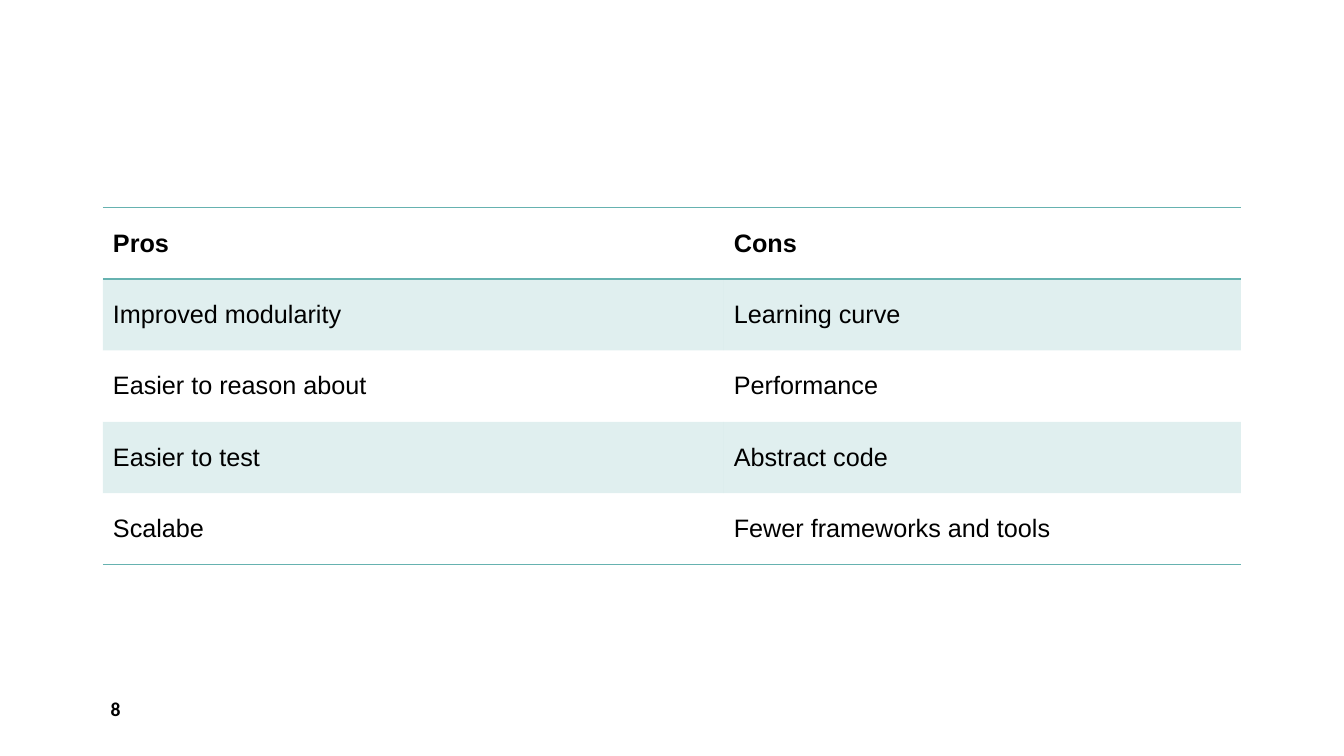
import pptx
import pptx.dml.color
import pptx.enum.text
import pptx.oxml
import pptx.oxml.ns
import pptx.util
from lxml import etree

Pt = pptx.util.Pt

TEAL = "66B2B0"
BLACK = "000000"
BAND_OPACITY = 20
COLUMN_WIDTHS = [443.5, 369.4]
ROW_HEIGHT = 51
ROWS = [
    ("Pros", "Cons"),
    ("Improved modularity", "Learning curve"),
    ("Easier to reason about", "Performance"),
    ("Easier to test", "Abstract code"),
    ("Scalabe", "Fewer frameworks and tools"),
]


def rgb(color):
    return pptx.dml.color.RGBColor.from_string(color)


def write_text(text_frame, text, font_format):
    paragraph = text_frame.paragraphs[0]
    run = paragraph.add_run()
    run.text = text
    for name, value in font_format.items():
        setattr(run.font, name, value)
    run.font.color.rgb = rgb(BLACK)


def set_borders(cell, ruled_sides):
    """Rule the given sides (T, B) in teal and clear the other sides."""
    properties = cell._tc.get_or_add_tcPr()
    for side in "LRTB":
        if side in ruled_sides:
            width, paint = Pt(1), f'<a:solidFill><a:srgbClr val="{TEAL}"/></a:solidFill>'
        else:
            width, paint = 0, "<a:noFill/>"
        properties.append(pptx.oxml.parse_xml(
            f'<a:ln{side} {pptx.oxml.ns.nsdecls("a")} w="{width}">{paint}</a:ln{side}>'))


def set_band(cell):
    """Fill the cell with translucent teal."""
    cell.fill.solid()
    cell.fill.fore_color.rgb = rgb(TEAL)
    color = cell._tc.tcPr.find(".//" + pptx.oxml.ns.qn("a:solidFill") + "[last()]/"
                               + pptx.oxml.ns.qn("a:srgbClr"))
    alpha = etree.SubElement(color, pptx.oxml.ns.qn("a:alpha"))
    alpha.set("val", str(BAND_OPACITY * 1000))


def add_comparison_table(slide, left, top):
    frame = slide.shapes.add_table(len(ROWS), len(COLUMN_WIDTHS), Pt(left), Pt(top),
                                   Pt(sum(COLUMN_WIDTHS)), Pt(ROW_HEIGHT * len(ROWS)))
    table = frame.table
    table.first_row = table.horz_banding = False
    for column, width in zip(table.columns, COLUMN_WIDTHS):
        column.width = Pt(width)
    ruled_sides = {0: "TB", len(ROWS) - 1: "B"}
    for row_index, texts in enumerate(ROWS):
        table.rows[row_index].height = Pt(ROW_HEIGHT)
        for column_index, text in enumerate(texts):
            cell = table.cell(row_index, column_index)
            cell.vertical_anchor = pptx.enum.text.MSO_ANCHOR.MIDDLE
            write_text(cell.text_frame, text,
                       {"name": "Arial", "size": Pt(18), "bold": row_index == 0})
            set_borders(cell, ruled_sides.get(row_index, ""))
            if row_index % 2:
                set_band(cell)
            else:
                cell.fill.background()


def add_page_number(slide, number, left, top, width, height):
    box = slide.shapes.add_textbox(Pt(left), Pt(top), Pt(width), Pt(height))
    box.text_frame.word_wrap = True
    box.text_frame.vertical_anchor = pptx.enum.text.MSO_ANCHOR.MIDDLE
    write_text(box.text_frame, number, {"name": "Calibri", "size": Pt(14), "bold": True})


def main():
    presentation = pptx.Presentation()
    presentation.slide_width = Pt(960)
    presentation.slide_height = Pt(540)
    slide = presentation.slides.add_slide(presentation.slide_layouts[6])
    add_page_number(slide, "8", 72, 492, 210, 28.8)
    add_comparison_table(slide, 73.5, 148.3)
    presentation.save("out.pptx")


if __name__ == "__main__":
    main()
